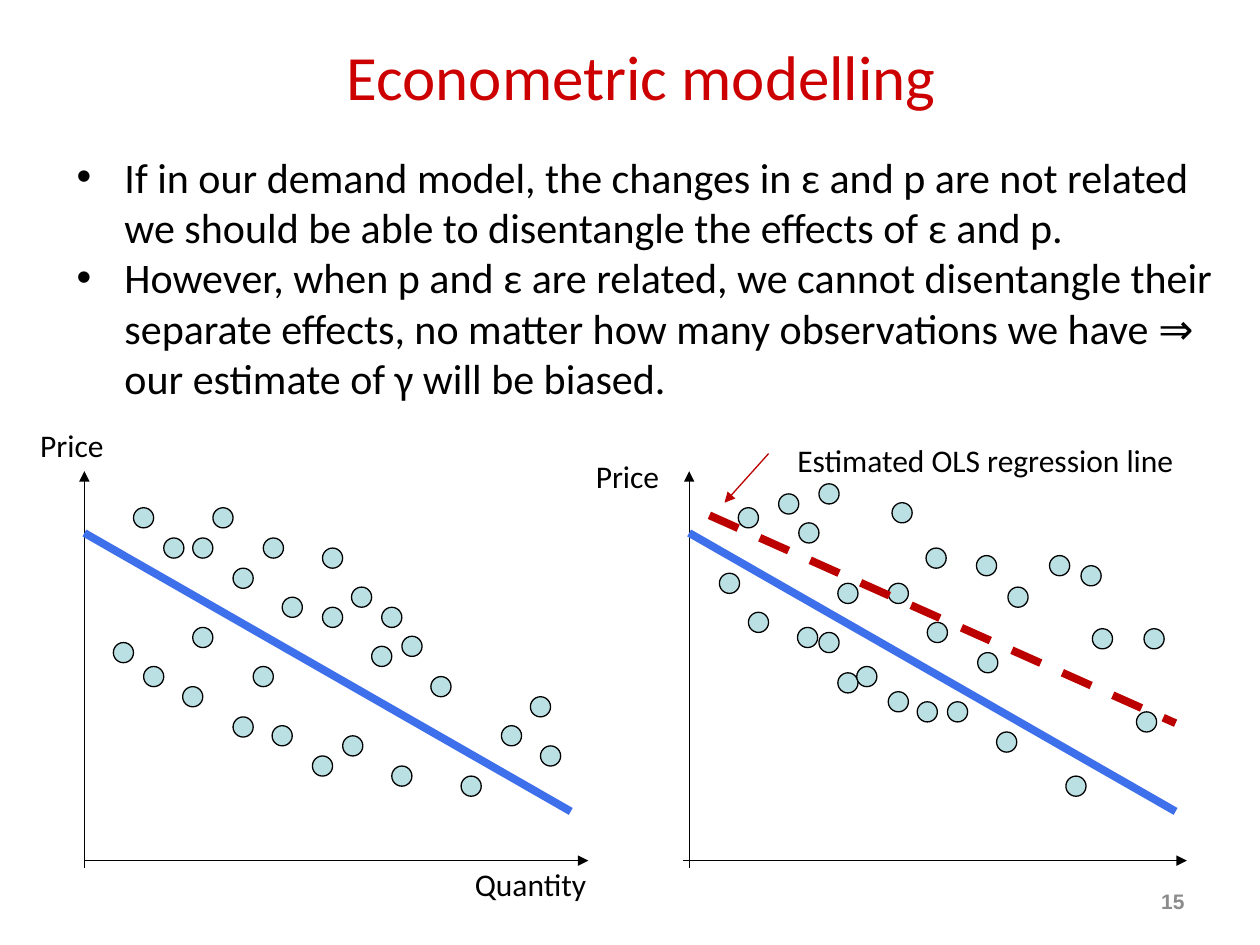
from dataclasses import dataclass

from lxml import etree
from pptx import Presentation
from pptx.dml.color import RGBColor
from pptx.enum.dml import MSO_LINE
from pptx.enum.shapes import MSO_CONNECTOR, MSO_SHAPE
from pptx.enum.text import MSO_ANCHOR, MSO_AUTO_SIZE, PP_ALIGN
from pptx.oxml.ns import qn
from pptx.util import Inches, Pt

STRAIGHT = MSO_CONNECTOR.STRAIGHT
OVAL = MSO_SHAPE.OVAL
DASH = MSO_LINE.DASH
TOP, MIDDLE = MSO_ANCHOR.TOP, MSO_ANCHOR.MIDDLE
LEFT, CENTER, RIGHT = PP_ALIGN.LEFT, PP_ALIGN.CENTER, PP_ALIGN.RIGHT
FIT_SHAPE = MSO_AUTO_SIZE.SHAPE_TO_FIT_TEXT

BLACK = RGBColor(0x00, 0x00, 0x00)
TITLE_RED = RGBColor(0xCC, 0x00, 0x00)
ESTIMATE_RED = RGBColor(0xBC, 0x00, 0x00)
DEMAND_BLUE = RGBColor(0x3F, 0x70, 0xEB)
MARKER_BLUE = RGBColor(0xBB, 0xE0, 0xE3)
NUMBER_GREY = RGBColor(0x8C, 0x8C, 0x8C)

# The slide is a grid of square cells; every position is (column, row).
COLUMNS, ROWS = 100, 75
CELL = Inches(0.1)
MARKER_SIZE = 1.6
THIN, THICK = 0.75, 4.5


@dataclass(frozen=True)
class Label:
    paragraphs: tuple[str, ...]
    area: tuple[float, float, float, float]
    size: float = 18
    color: RGBColor = BLACK
    font: str = "Calibri"
    align: PP_ALIGN = LEFT
    anchor: MSO_ANCHOR = TOP
    bold: bool = False
    wrap: bool = True
    bullets: bool = False


@dataclass(frozen=True)
class Line:
    start: tuple[float, float]
    end: tuple[float, float]
    color: RGBColor = BLACK
    width: float = THIN
    arrow: bool = False
    dashed: bool = False


@dataclass(frozen=True)
class Scatter:
    lines: tuple[Line, ...]
    markers: tuple[tuple[float, float], ...]
    overlay: tuple[Line, ...] = ()


TEXTS = (
    Label((
        "If in our demand model, the changes in ε and p are not related we should be "
        "able to disentangle the effects of ε and p.",
        "However, when p and ε are related, we cannot disentangle their separate effects, "
        "no matter how many observations we have ⇒ our estimate of γ will be biased.",
    ), (5.1, 11.5, 92.3, 23.5), size=24, bullets=True),
    Label(("Econometric modelling",), (5.9, 1.3, 90, 9.4), size=36, color=TITLE_RED,
          align=CENTER, anchor=MIDDLE),
    Label(("15",), (71.7, 69.5, 23.3, 4), size=12, color=NUMBER_GREY, font="Arial",
          align=RIGHT, anchor=MIDDLE, bold=True),
    Label(("Price",), (2.2, 33.3, 7.2, 4), wrap=False),
    Label(("Quantity",), (36.7, 68.2, 11.3, 4), wrap=False),
    Label(("Price",), (46.3, 35.8, 7.2, 4), wrap=False),
    Label(("Estimated OLS regression line",), (62.3, 34.5, 32.7, 4), wrap=False),
)


def axes_and_demand(axis: float, quantity_start: float) -> tuple[Line, ...]:
    """Price axis, quantity axis and true demand line of one diagram."""
    return (
        Line((axis, 68.9), (axis, 37.4), arrow=True),
        Line((quantity_start, 68.3), (quantity_start + 40, 68.3), arrow=True),
        Line((axis, 42.3), (axis + 38.6, 64.4), DEMAND_BLUE, THICK),
    )


UNRELATED = Scatter(
    axes_and_demand(6.7, 6.7),
    (
        (9, 51), (11.4, 52.9), (14.5, 54.5), (18.5, 56.9), (20.1, 52.9), (21.6, 57.6),
        (24.8, 60), (27.2, 58.4), (29.5, 51.3), (31.9, 50.5), (34.2, 53.7), (36.6, 61.6),
        (39.8, 57.6), (42.1, 55.3), (42.9, 59.2), (31.1, 60.8), (22.4, 47.4), (25.6, 48.2),
        (27.9, 46.6), (30.3, 48.2), (15.3, 42.7), (18.5, 45.1), (15.3, 49.8), (10.6, 40.3),
        (13, 42.7), (16.9, 40.3), (20.9, 42.7), (25.6, 43.5),
    ),
)
RELATED = Scatter(
    axes_and_demand(54.7, 54.2),
    (
        (57.1, 45.5), (59.4, 48.6), (65, 50.2), (66.5, 53.4), (68, 52.9), (70.5, 54.9),
        (72.8, 55.7), (75.2, 55.7), (77.6, 51.8), (83.3, 44.1), (85.8, 44.9), (84.6, 61.6),
        (86.7, 49.9), (90.8, 49.9), (90.2, 56.5), (79.1, 58.1), (70.5, 46.3), (73.6, 49.4),
        (77.5, 44.1), (80, 46.6), (63.4, 41.5), (66.5, 46.3), (63.3, 49.8), (58.6, 40.3),
        (61.8, 39.2), (65, 38.4), (70.8, 39.9), (73.5, 43.5),
    ),
    (
        Line((56.3, 40.9), (93.3, 57.4), ESTIMATE_RED, THICK, dashed=True),
        Line((61, 36), (57.5, 39.9), ESTIMATE_RED, arrow=True),
    ),
)


def cells(*counts: float) -> list[int]:
    return [round(count * CELL) for count in counts]


def add_bullet(para) -> None:
    properties = para._p.get_or_add_pPr()
    properties.set("marL", str(Inches(0.38)))
    properties.set("indent", str(-Inches(0.38)))
    etree.SubElement(properties, qn("a:buFont"), typeface="Arial")
    etree.SubElement(properties, qn("a:buChar"), char="•")


def add_label(page, label: Label) -> None:
    frame = page.shapes.add_textbox(*cells(*label.area)).text_frame
    frame.word_wrap = label.wrap
    frame.vertical_anchor = label.anchor
    if not label.wrap:
        frame.auto_size = FIT_SHAPE
    for index, text in enumerate(label.paragraphs):
        para = frame.add_paragraph() if index else frame.paragraphs[0]
        para.alignment = label.align
        if label.bullets:
            add_bullet(para)
        span = para.add_run()
        span.text = text
        span.font.name = label.font
        span.font.size = Pt(label.size)
        span.font.bold = label.bold
        span.font.color.rgb = label.color


def add_line(page, line: Line) -> None:
    connector = page.shapes.add_connector(STRAIGHT, *cells(*line.start, *line.end))
    connector.line.color.rgb = line.color
    connector.line.width = Pt(line.width)
    if line.dashed:
        connector.line.dash_style = DASH
    if line.arrow:
        etree.SubElement(connector.line._get_or_add_ln(), qn("a:tailEnd"), type="triangle")
    etree.SubElement(connector._element.spPr, qn("a:effectLst"))


def add_marker(page, position: tuple[float, float]) -> None:
    marker = page.shapes.add_shape(OVAL, *cells(*position, MARKER_SIZE, MARKER_SIZE))
    marker.shadow.inherit = False
    marker.fill.solid()
    marker.fill.fore_color.rgb = MARKER_BLUE
    marker.line.color.rgb = BLACK
    marker.line.width = Pt(THIN)


def add_scatter(page, scatter: Scatter) -> None:
    for line in scatter.lines:
        add_line(page, line)
    for position in scatter.markers:
        add_marker(page, position)
    for line in scatter.overlay:
        add_line(page, line)


def main() -> None:
    deck = Presentation()
    deck.slide_width, deck.slide_height = cells(COLUMNS, ROWS)
    page = deck.slides.add_slide(deck.slide_layouts[6])
    for label in TEXTS:
        add_label(page, label)
    for scatter in (UNRELATED, RELATED):
        add_scatter(page, scatter)
    deck.save("out.pptx")


if __name__ == "__main__":
    main()
